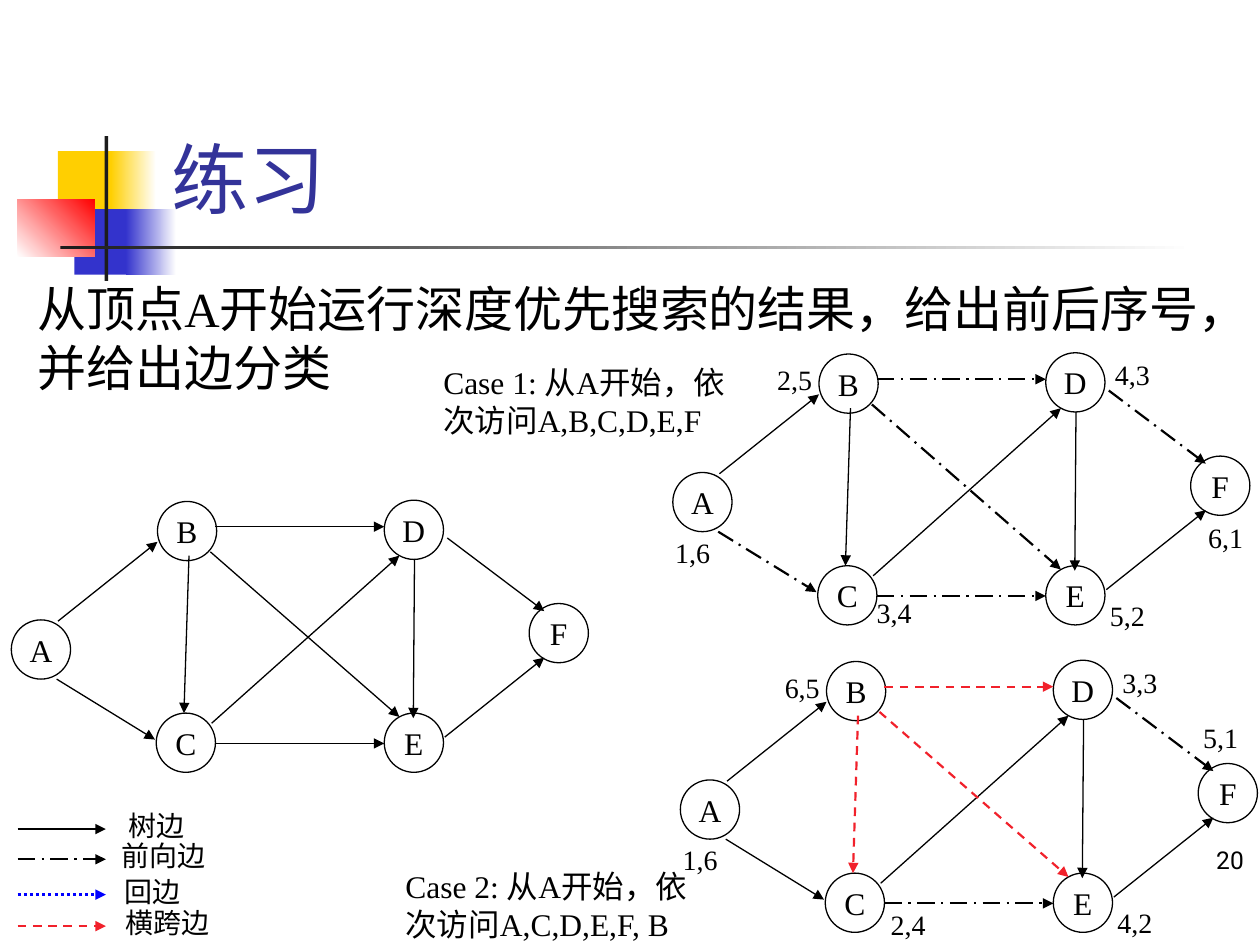
from dataclasses import dataclass

from lxml import etree
from pptx import Presentation
from pptx.dml.color import RGBColor
from pptx.enum.dml import MSO_LINE
from pptx.enum.shapes import MSO_CONNECTOR, MSO_SHAPE
from pptx.enum.text import MSO_ANCHOR, PP_ALIGN
from pptx.oxml.ns import qn
from pptx.util import Inches, Pt

RECT, OVAL = MSO_SHAPE.RECTANGLE, MSO_SHAPE.OVAL
STRAIGHT = MSO_CONNECTOR.STRAIGHT
TOP, MIDDLE, BOTTOM = MSO_ANCHOR.TOP, MSO_ANCHOR.MIDDLE, MSO_ANCHOR.BOTTOM
LEFT, CENTER, RIGHT = PP_ALIGN.LEFT, PP_ALIGN.CENTER, PP_ALIGN.RIGHT


@dataclass(frozen=True)
class Theme:
    black: str = "000000"
    white: str = "FFFFFF"
    ink: str = "1C1C1C"
    yellow: str = "FFCF01"
    blue: str = "3333CC"
    red: str = "FF0000"
    title: str = "333399"
    back: str = "0000FF"
    cross: str = "F1212B"
    serif: str = "Times New Roman"
    sans: str = "Roboto"
    title_size: int = 44
    body_size: int = 28
    node_size: int = 18
    label_size: int = 16
    number_size: int = 14


T = Theme()

# Edge kind: colour, width in points, dash
EDGE_STYLES = {
    "plain": (T.black, 0.75, None),
    "tree": (T.black, 1.25, None),
    "forward": (T.black, 1.25, MSO_LINE.LONG_DASH_DOT),
    "back": (T.back, 1.75, MSO_LINE.ROUND_DOT),
    "cross": (T.cross, 1.25, MSO_LINE.DASH),
}

NODE_SIZE = 0.47
# Offsets from the top left corner of a graph
NODES = {"A": (0, 0.95), "B": (1.16, 0.01), "C": (1.15, 1.69),
         "D": (2.96, 0), "E": (2.96, 1.69), "F": (4.11, 0.82)}
EDGES = {
    "BD": (1.62, 0.21, 2.96, 0.21),
    "BC": (1.41, 0.44, 1.37, 1.69),
    "AB": (0.37, 0.96, 1.16, 0.33),
    "AC": (0.36, 1.42, 1.14, 1.9),
    "DE": (3.2, 0.47, 3.19, 1.73),
    "CD": (1.59, 1.77, 3.08, 0.44),
    "CE": (1.62, 1.93, 2.96, 1.93),
    "EF": (3.44, 1.88, 4.23, 1.25),
    "DF": (3.46, 0.3, 4.23, 0.88),
    "BE": (1.58, 0.41, 3.08, 1.72),
}
LABELS = {"A": (-0.08, 1.4), "B": (0.73, 0.03), "C": (1.52, 1.88),
          "D": (3.41, -0.01), "E": (3.37, 1.9), "F": (4.15, 1.28)}


def rgb(color):
    return RGBColor.from_string(color)


def write(sp, text, size, color=T.black, font=T.serif, align=LEFT,
          anchor=TOP, wrap=True):
    tf = sp.text_frame
    tf.word_wrap, tf.vertical_anchor = wrap, anchor
    p = tf.paragraphs[0]
    p.alignment = align
    r = p.add_run()
    r.text = text
    r.font.color.rgb = rgb(color)
    for name, value in {"size": Pt(size), "name": font}.items():
        setattr(r.font, name, value)


def add_text(s, box, text, size, **style):
    write(s.shapes.add_textbox(*map(Inches, box)), text, size, **style)


def add_block(s, box, color, fade_to=None, angle=0):
    sp = s.shapes.add_shape(RECT, *map(Inches, box))
    sp.shadow.inherit = False
    sp.line.fill.background()
    if fade_to is None:
        sp.fill.solid()
        sp.fill.fore_color.rgb = rgb(color)
        return
    sp.fill.gradient()
    sp.fill.gradient_angle = angle
    for stop, stop_color in zip(sp.fill.gradient_stops, (color, fade_to)):
        stop.color.rgb = rgb(stop_color)


def add_arrow(s, ends, kind):
    color, width, dash = EDGE_STYLES[kind]
    line = s.shapes.add_connector(STRAIGHT, *map(Inches, ends))
    line.line.color.rgb = rgb(color)
    line.line.width = Pt(width)
    if dash is not None:
        line.line.dash_style = dash
    ln = line.line._get_or_add_ln()
    etree.SubElement(ln, qn("a:tailEnd"), type="triangle")
    etree.SubElement(ln.getparent(), qn("a:effectLst"))


def add_node(s, x, y, name):
    sp = s.shapes.add_shape(OVAL, *map(Inches, (x, y, NODE_SIZE, NODE_SIZE)))
    sp.shadow.inherit = False
    sp.fill.background()
    sp.line.color.rgb = rgb(T.black)
    sp.line.width = Pt(0.75)
    write(sp, name, T.node_size, align=CENTER, anchor=MIDDLE, wrap=False)


def add_graph(s, left, top, kinds=None, orders=None, moved=None):
    """Draw the graph; kinds maps edges to styles, orders nodes to pre,post numbers."""
    kinds, orders = kinds or {}, orders or {}
    for name, (x, y) in NODES.items():
        add_node(s, left + x, top + y, name)
    for name, (x1, y1, x2, y2) in EDGES.items():
        add_arrow(s, (left + x1, top + y1, left + x2, top + y2),
                  kinds.get(name, "plain"))
    places = {**LABELS, **(moved or {})}
    for name, order in orders.items():
        x, y = places[name]
        add_text(s, (left + x, top + y, 0.48, 0.37), order, T.label_size, wrap=False)


def add_legend(s, left, top):
    rows = [("tree", "树边", 0.24, 0.78, 0.65), ("forward", "前向边", 0.48, 0.73, 0.87),
            ("back", "回边", 0.76, 0.75, 0.65), ("cross", "横跨边", 1.01, 0.76, 0.87)]
    for kind, text, y, x, width in rows:
        add_arrow(s, (left, top + y, left + 0.7, top + y), kind)
        add_text(s, (left + x, top + y - 0.21, width, 0.37), text,
                 T.label_size, wrap=False)


def add_header(s, left, top):
    """Coloured squares, crossed bars and the title."""
    blocks = [
        ((0.32, 0.12, 0.48, 0.52), T.yellow),
        ((0.74, 0.12, 0.36, 0.52), T.yellow, T.white),
        ((0.45, 0.58, 0.46, 0.52), T.blue),
        ((0.86, 0.58, 0.4, 0.52), T.blue, T.white),
        ((0, 0.5, 0.61, 0.46), T.white, T.red, 45),
        ((0.69, 0, 0.03, 1.15), T.ink),
        ((0.34, 0.87, 9, 0.03), T.ink, T.white),
    ]
    for (x, y, w, h), *colors in blocks:
        add_block(s, (left + x, top + y, w, h), *colors)
    add_text(s, (left + 1.12, top - 0.85, 8.52, 1.6), "练习", T.title_size,
             color=T.title, font=T.sans, anchor=BOTTOM)


def build_slide(prs):
    s = prs.slides.add_slide(prs.slide_layouts[6])
    add_header(s, 0.14, 1.08)
    add_text(s, (7.89, 6.49, 2.08, 0.5), "20", T.number_size,
             font=T.sans, align=RIGHT, anchor=BOTTOM)
    add_text(s, (0.2, 2.16, 9.86, 1.23),
             "从顶点A开始运行深度优先搜索的结果，给出前后序号，并给出边分类", T.body_size)
    add_graph(s, 0.09, 3.97)
    add_graph(s, 5.34, 2.8,
              dict.fromkeys(("BD", "AC", "CE", "DF", "BE"), "forward"),
              {"A": "1,6", "B": "2,5", "C": "3,4", "D": "4,3", "E": "5,2", "F": "6,1"})
    add_legend(s, 0.14, 6.34)
    add_text(s, (3.42, 2.83, 2.54, 0.71),
             "Case 1: 从A开始，依次访问A,B,C,D,E,F", T.node_size)
    add_text(s, (3.12, 6.83, 2.64, 0.71),
             "Case 2: 从A开始，依次访问A,C,D,E,F, B", T.node_size)
    add_graph(s, 5.4, 5.24,
              {**dict.fromkeys(("BD", "BC", "BE"), "cross"),
               **dict.fromkeys(("CE", "DF"), "forward")},
              {"A": "1,6", "B": "6,5", "C": "2,4", "D": "3,3", "E": "4,2", "F": "5,1"},
              moved={"C": (1.57, 1.91), "F": (4.05, 0.43)})


def main():
    prs = Presentation()
    prs.slide_width, prs.slide_height = Inches(10), Inches(7.5)
    build_slide(prs)
    prs.save("out.pptx")


if __name__ == "__main__":
    main()
